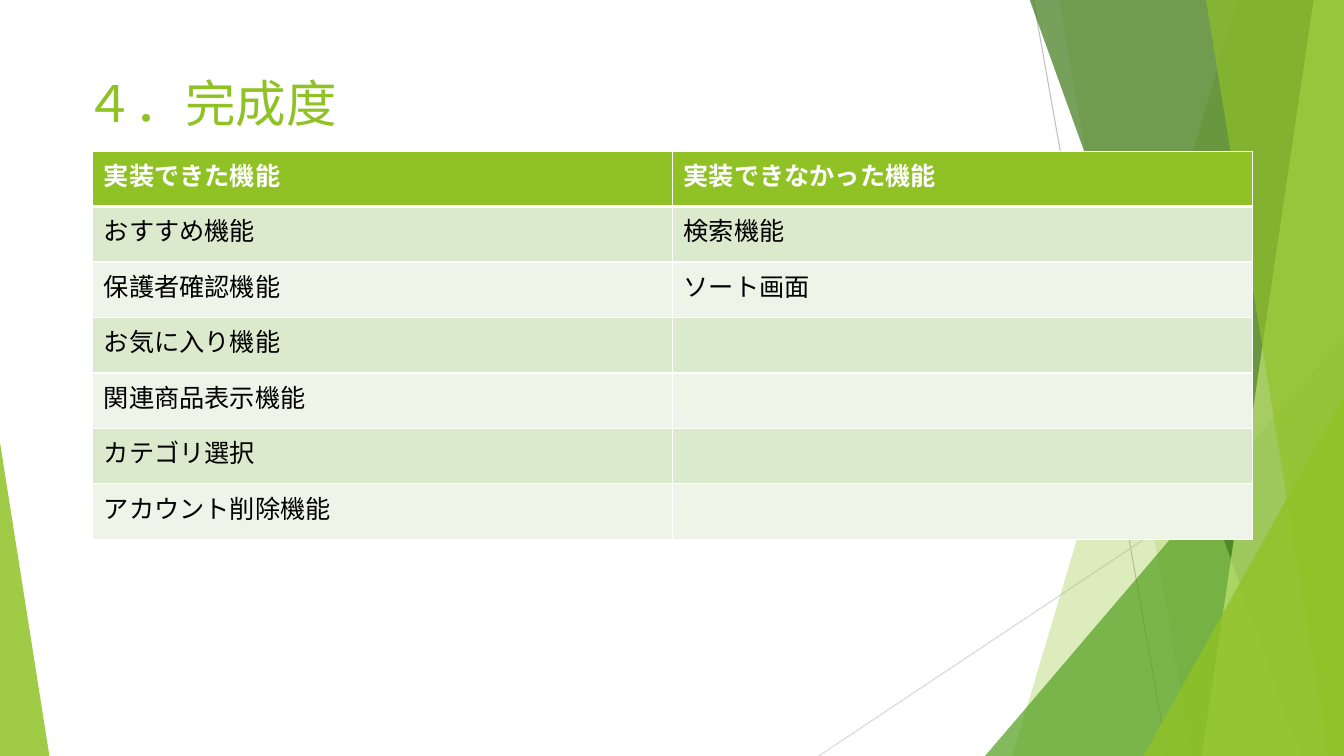
from dataclasses import dataclass

from lxml import etree
from pptx import Presentation
from pptx.dml.color import RGBColor
from pptx.enum.shapes import MSO_CONNECTOR, MSO_SHAPE
from pptx.enum.text import MSO_ANCHOR
from pptx.oxml.ns import qn
from pptx.util import Inches, Pt

TRIANGLE = MSO_SHAPE.ISOSCELES_TRIANGLE
STRAIGHT = MSO_CONNECTOR.STRAIGHT
TOP = MSO_ANCHOR.TOP
WIDTH, HEIGHT = 13.33, 7.5
PANEL_TOP = -0.01
BLANK_LAYOUT = 6


@dataclass(frozen=True)
class Theme:
    font: str = "Karla"
    title_size: int = 36
    body_size: int = 18
    green: str = "90C226"
    leaf: str = "54A021"
    forest: str = "3F7819"
    lime: str = "C0E474"
    gray: str = "BFBFBF"
    light_gray: str = "D9D9D9"
    white: str = "FFFFFF"
    black: str = "000000"
    bands: tuple = ("DBE9CD", "EEF4E8")


THEME = Theme()

FEATURES = [
    ("実装できた機能", "実装できなかった機能"),
    ("おすすめ機能", "検索機能"),
    ("保護者確認機能", "ソート画面"),
    ("お気に入り機能", ""),
    ("関連商品表示機能", ""),
    ("カテゴリ選択", ""),
    ("アカウント削除機能", ""),
]


def paint(shape, color, opacity):
    """Fill a shape with a see-through colour, without outline or shadow."""
    shape.shadow.inherit = False
    shape.line.fill.background()
    shape.fill.solid()
    shape.fill.fore_color.rgb = RGBColor.from_string(color)
    color_element = shape.fill._xPr.find(qn("a:solidFill"))[0]
    etree.SubElement(color_element, qn("a:alpha"), val=str(opacity * 1000))


def add_line(slide, start, end, color):
    points = [Inches(value) for value in (*start, *end)]
    connector = slide.shapes.add_connector(STRAIGHT, *points)
    connector.line.color.rgb = RGBColor.from_string(color)
    connector.line.width = Pt(0.75)
    etree.SubElement(connector._element.spPr, qn("a:effectLst"))


def add_panel(slide, top_x, bottom_x, color, opacity):
    """Add a slanted panel that reaches to the right edge of the slide."""
    builder = slide.shapes.build_freeform(Inches(top_x), Inches(PANEL_TOP))
    corners = [(WIDTH, PANEL_TOP), (WIDTH, HEIGHT), (bottom_x, HEIGHT)]
    builder.add_line_segments([(Inches(x), Inches(y)) for x, y in corners])
    paint(builder.convert_to_shape(), color, opacity)


def add_corner(slide, left, top, width, apex, color, opacity):
    """Add a triangle that stands on the bottom edge of the slide."""
    shape = slide.shapes.add_shape(
        TRIANGLE, Inches(left), Inches(top), Inches(width), Inches(HEIGHT - top))
    shape.adjustments[0] = apex
    paint(shape, color, opacity)


def add_backdrop(slide):
    add_line(slide, (10.25, 0), (11.58, HEIGHT), THEME.gray)
    add_line(slide, (WIDTH, 4.03), (8.12, HEIGHT), THEME.light_gray)
    add_panel(slide, 12.28, 10.04, THEME.green, 30)
    add_panel(slide, 10.5, 11.83, THEME.green, 20)
    add_corner(slide, 9.77, 3.33, 3.56, 1, THEME.leaf, 72)
    add_panel(slide, 10.21, 12.91, THEME.forest, 70)
    add_panel(slide, 13.03, 11.92, THEME.lime, 70)
    add_panel(slide, 11.96, 13.18, THEME.green, 65)
    add_corner(slide, 11.34, 3.93, 1.99, 1, THEME.green, 80)
    add_corner(slide, 0, 4.39, 0.49, 0, THEME.green, 85)


def write(text_frame, text, size, color, bold=False):
    paragraph = text_frame.paragraphs[0]
    paragraph.text = text
    paragraph.font.name = THEME.font
    paragraph.font.size = Pt(size)
    paragraph.font.bold = bold
    paragraph.font.color.rgb = RGBColor.from_string(color)


def add_title(slide, text):
    box = slide.shapes.add_textbox(
        Inches(0.74), Inches(0.67), Inches(9.4), Inches(1.44))
    box.text_frame.word_wrap = True
    box.text_frame.vertical_anchor = TOP
    write(box.text_frame, text, THEME.title_size, THEME.green)


def set_borders(cell, top, bottom):
    """Draw white borders; top and bottom are widths in points."""
    properties = cell._tc.get_or_add_tcPr()
    for side, width in (("L", 1), ("R", 1), ("T", top), ("B", bottom)):
        line = etree.SubElement(properties, qn(f"a:ln{side}"), w=str(Pt(width)))
        fill = etree.SubElement(line, qn("a:solidFill"))
        etree.SubElement(fill, qn("a:srgbClr"), val=THEME.white)


def add_feature_table(slide, rows):
    frame = slide.shapes.add_table(
        len(rows), len(rows[0]), Inches(0.92), Inches(1.5),
        Inches(11.5), Inches(0.55 * len(rows)))
    for row_index, texts in enumerate(rows):
        header = row_index == 0
        band = THEME.green if header else THEME.bands[(row_index - 1) % 2]
        color = THEME.white if header else THEME.black
        for column_index, text in enumerate(texts):
            cell = frame.table.cell(row_index, column_index)
            set_borders(cell, 3 if row_index == 1 else 1, 3 if header else 1)
            cell.fill.solid()
            cell.fill.fore_color.rgb = RGBColor.from_string(band)
            cell.margin_left = cell.margin_right = Inches(0.11)
            write(cell.text_frame, text, THEME.body_size, color, header)


def main():
    presentation = Presentation()
    presentation.slide_width = Inches(WIDTH)
    presentation.slide_height = Inches(HEIGHT)
    slide = presentation.slides.add_slide(presentation.slide_layouts[BLANK_LAYOUT])
    add_backdrop(slide)
    add_title(slide, "４．完成度")
    add_feature_table(slide, FEATURES)
    presentation.save("out.pptx")


if __name__ == "__main__":
    main()
